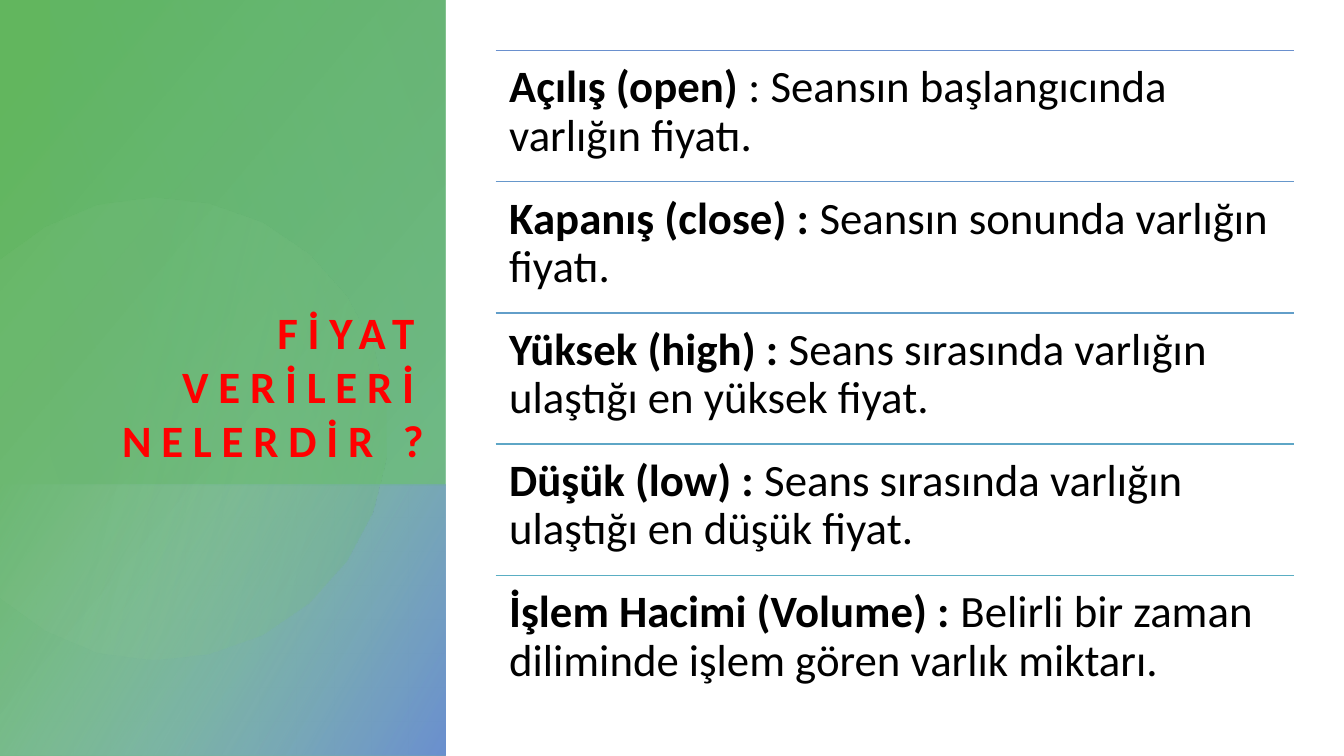
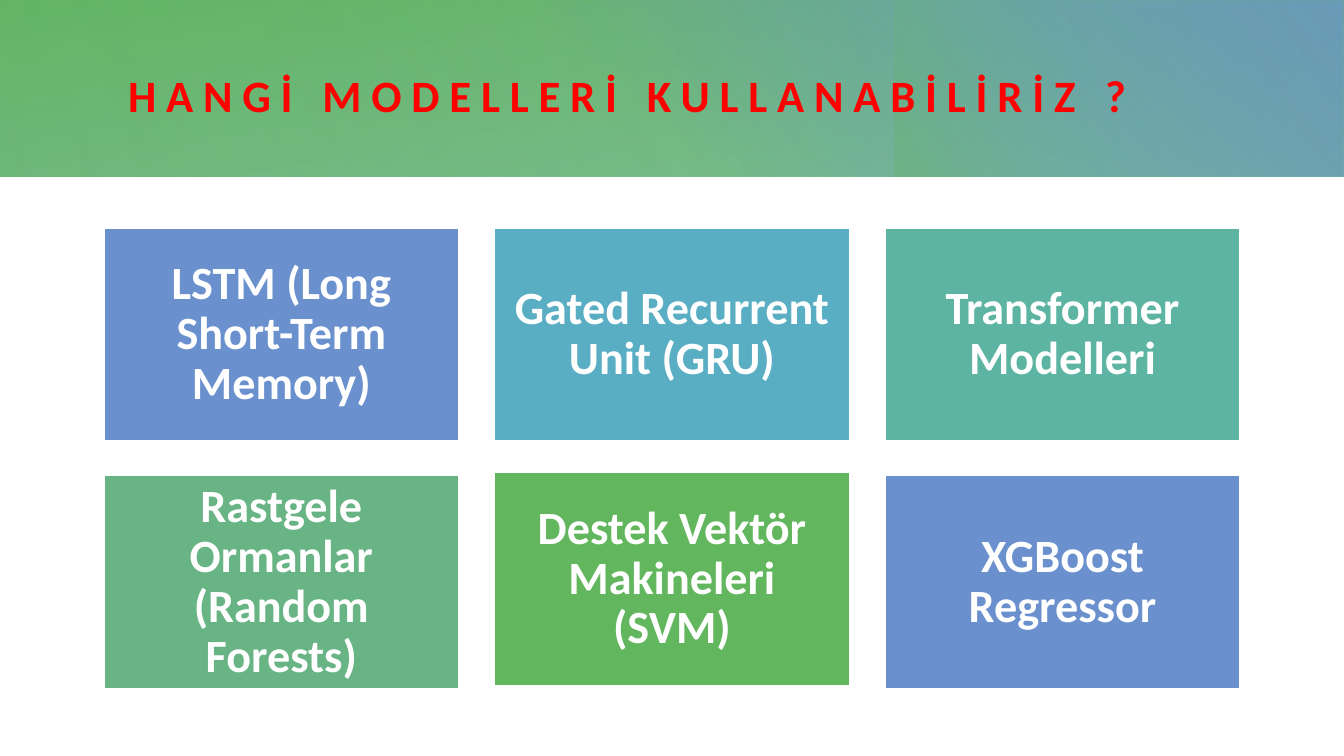
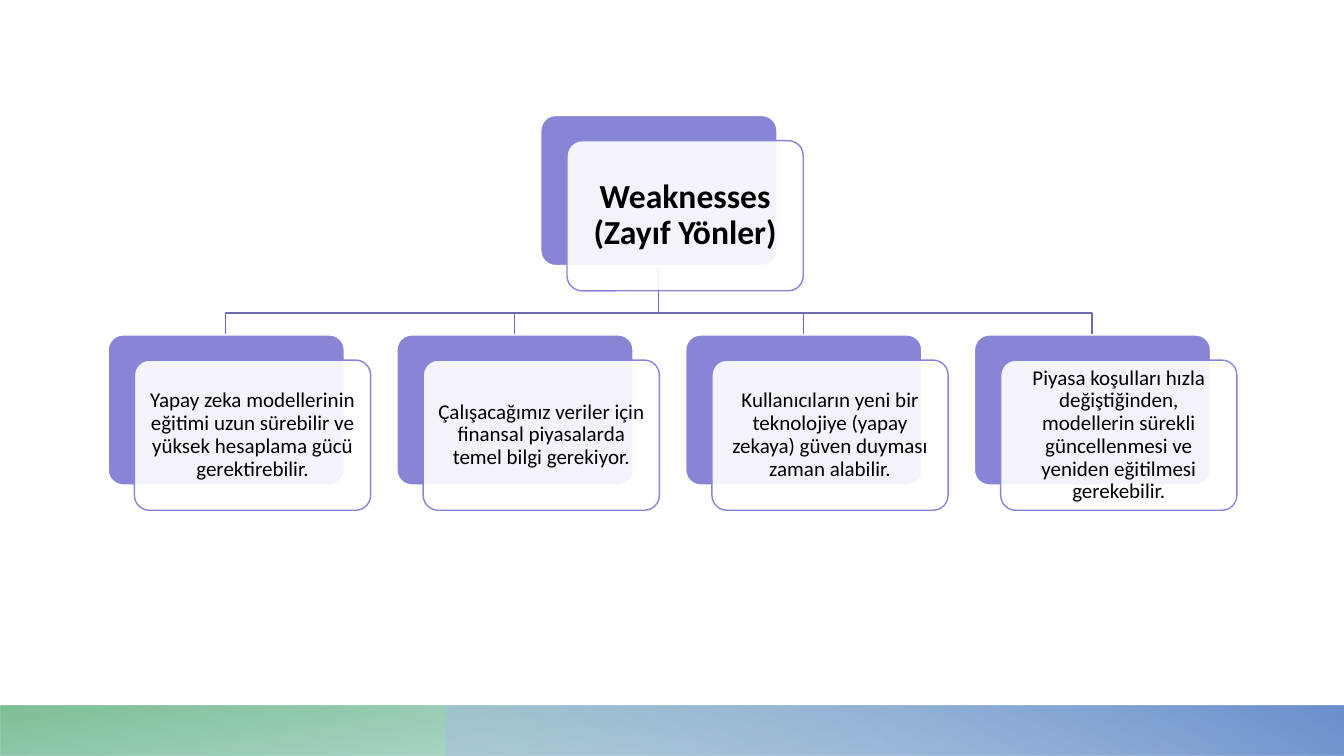
import math
import lxml.etree
import pptx
import pptx.dml.color
import pptx.enum.shapes
import pptx.enum.text
import pptx.oxml.ns
import pptx.util

PX = 9525
Pt = pptx.util.Pt
qn = pptx.oxml.ns.qn
FORM = pptx.enum.shapes.MSO_SHAPE
ALIGN = pptx.enum.text.PP_ALIGN
ANCHOR = pptx.enum.text.MSO_ANCHOR

RED, BLACK, WHITE = "FF0000", "000000", "FFFFFF"
BLUE, CYAN, TEAL = "6A90CE", "5AAEC3", "5DB4A2"
SAGE, GREEN = "68B484", "62B65E"
LILAC, PLUM = "8885D7", "6D6BAC"


def hue(code):
    return pptx.dml.color.RGBColor.from_string(code)


def write(shape, runs, size, tint, inset, align, anchor, gap):
    frame = shape.text_frame
    look = {
        "word_wrap": True,
        "auto_size": pptx.enum.text.MSO_AUTO_SIZE.NONE,
        "vertical_anchor": anchor,
    }
    for side in ("left", "top", "right", "bottom"):
        look["margin_" + side] = inset * PX
    for key, value in look.items():
        setattr(frame, key, value)
    para = frame.paragraphs[0]
    para.alignment = align
    para.line_spacing = gap
    for text, bold in runs:
        run = para.add_run()
        run.text = text
        for key, value in {"name": "Calibri", "size": Pt(size), "bold": bold}.items():
            setattr(run.font, key, value)
        run.font.color.rgb = hue(tint)


deck = pptx.Presentation()
deck.slide_width = 1280 * PX
deck.slide_height = 720 * PX
price, model, weak = [deck.slides.add_slide(deck.slide_layouts[i]) for i in (5, 5, 6)]

for slide in (price, model):
    sheet = slide.shapes.add_shape(FORM.RECTANGLE, 0, 0, 1280 * PX, 720 * PX)
    sheet.shadow.inherit = False
    sheet.fill.solid()
    sheet.fill.fore_color.rgb = hue(WHITE)
    sheet.line.fill.background()

ring = []
for turn in range(-133, 134, 14):
    angle = math.radians(turn)
    ring.append((max(0, round(150 + 220 * math.cos(angle))), round(408 + 220 * math.sin(angle))))

washes = [
    (price, (-148, 148, 720, 424), 270, True, 50, [(8, GREEN, 100), (100, SAGE, 89)]),
    (price, (83, 379, 258, 424), 270, True, 60, [(0, "A4D2B5", 0), (99, BLUE, 100)]),
    (price, None, 0, False, 14, [(36, "A1D39E", 6), (100, GREEN, 26)]),
    (price, (5, 43, 462, 376), 90, True, 110, [(0, SAGE, 29), (100, TEAL, 0)]),
    (model, (0, 0, 1280, 168), 0, False, 260, [(0, SAGE, 83), (100, GREEN, 100)]),
    (model, (462, 1, 818, 167), 0, False, 310, [(22, BLUE, 0), (99, BLUE, 100)]),
    (model, (947, -95, 168, 358), 270, False, 250, [(45, TEAL, 0), (99, GREEN, 33)]),
    (model, (258, 0, 1022, 168), 180, False, 330, [(0, SAGE, 30), (99, SAGE, 0)]),
    (model, (0, 0, 830, 168), 0, False, 340, [(0, SAGE, 21), (99, SAGE, 0)]),
    (weak, (0, 672, 1280, 48), 180, True, 100, [(14, TEAL, 28), (100, SAGE, 85)]),
    (weak, (424, 672, 856, 48), 0, True, 240, [(9, "A6BCE2", 55), (99, BLUE, 100)]),
]
bands = []
for slide, box, turn, flip, angle, stops in washes:
    if box:
        wash = slide.shapes.add_shape(FORM.RECTANGLE, *[n * PX for n in box])
    else:
        pen = slide.shapes.build_freeform(*ring[0], scale=PX)
        pen.add_line_segments(ring[1:], close=True)
        wash = pen.convert_to_shape()
    wash.rotation = turn
    if flip:
        wash.element.spPr.xfrm.set("flipH", "1")
    wash.shadow.inherit = False
    wash.line.fill.background()
    wash.fill.gradient()
    wash.fill.gradient_angle = 360 - angle
    for stop, (place, tint, alpha) in zip(wash.fill.gradient_stops, stops):
        stop.position = place / 100
        stop.color.rgb = hue(tint)
    for node, (place, tint, alpha) in zip(wash.element.iter(qn("a:srgbClr")), stops):
        lxml.etree.SubElement(node, qn("a:alpha")).set("val", str(alpha * 1000))
    if slide is weak:
        bands.append(wash)

for i, band in enumerate(bands):
    band.element.nvSpPr.cNvPr.set("id", str(100 + i))
    deck.slide_master.shapes.element.insert(2 + i, band.element)

titles = [
    (price, "FİYAT VERİLERİ NELERDİR ?", (48, 91, 356, 353), ALIGN.RIGHT, ANCHOR.BOTTOM),
    (model, "HANGİ MODELLERİ KULLANABİLİRİZ ?", (122, 39, 1090, 102), ALIGN.LEFT, ANCHOR.MIDDLE),
]
for slide, text, box, align, anchor in titles:
    title = slide.shapes.title
    slide.shapes.element.append(title.element)
    for key, value in zip(("left", "top", "width", "height"), box):
        setattr(title, key, value * PX)
    write(title, [(text, True)], 32, RED, 0, align, anchor, 1.0)
    title.text_frame.paragraphs[0].runs[0].font._element.set("spc", "700")

terms = [
    (BLUE, "Açılış (open)", " : Seansın başlangıcında varlığın fiyatı."),
    ("6697CB", "Kapanış (close) : ", "Seansın sonunda varlığın fiyatı."),
    ("629EC9", "Yüksek (high) : ", "Seans sırasında varlığın ulaştığı en yüksek fiyat."),
    ("5EA6C6", "Düşük (low) : ", "Seans sırasında varlığın ulaştığı en düşük fiyat."),
    (CYAN, "İşlem Hacimi (Volume) : ", "Belirli bir zaman diliminde işlem gören varlık miktarı."),
]
for row, (tint, term, text) in enumerate(terms):
    left, top, width, height = [n * PX for n in (472, 48 + 125 * row, 760, 125)]
    rule = price.shapes.add_connector(
        pptx.enum.shapes.MSO_CONNECTOR.STRAIGHT, left, top, left + width, top)
    rule.line.color.rgb = hue(tint)
    rule.line.width = Pt(1)
    lxml.etree.SubElement(rule.element.spPr, qn("a:effectLst"))
    note = price.shapes.add_textbox(left, top, width, height)
    write(note, [(term, True), (text, False)], 32, BLACK, 13, ALIGN.LEFT, ANCHOR.TOP, 0.9)

cards = [
    ("LSTM (Long Short-Term Memory)", BLUE, 217),
    ("Gated Recurrent Unit (GRU)", CYAN, 217),
    ("Transformer Modelleri", TEAL, 217),
    ("Rastgele Ormanlar (Random Forests)", SAGE, 453),
    ("Destek Vektör Makineleri (SVM)", GREEN, 450),
    ("XGBoost Regressor", BLUE, 453),
]
for i, (text, tint, top) in enumerate(cards):
    box = (99 + 372 * (i % 3), top, 338, 203)
    card = model.shapes.add_shape(FORM.RECTANGLE, *[n * PX for n in box])
    card.shadow.inherit = False
    card.fill.solid()
    card.fill.fore_color.rgb = hue(tint)
    card.line.color.rgb = hue(WHITE)
    card.line.width = Pt(1)
    write(card, [(text, True)], 33, WHITE, 13, ALIGN.CENTER, ANCHOR.MIDDLE, 0.9)

wide, high = 225, 143
points = [
    "Yapay zeka modellerinin eğitimi uzun sürebilir ve yüksek hesaplama gücü gerektirebilir.",
    "Çalışacağımız veriler için finansal piyasalarda temel bilgi gerekiyor.",
    "Kullanıcıların yeni bir teknolojiye (yapay zekaya) güven duyması zaman alabilir.",
    "Piyasa koşulları hızla değiştiğinden, modellerin sürekli güncellenmesi ve yeniden "
    "eğitilmesi gerekebilir.",
]
root = (515, 110, "Weaknesses (Zayıf Yönler)", 24, True, 10)
leaves = [(103 + 275 * i, 319, text, 15, False, 6) for i, text in enumerate(points)]

stem = root[0] + wide // 2
for leaf in leaves:
    end = leaf[0] + wide // 2
    pen = weak.shapes.build_freeform(stem, root[1] + high, scale=PX)
    pen.add_line_segments([(stem, 298), (end, 298), (end, leaf[1])], close=False)
    link = pen.convert_to_shape()
    link.shadow.inherit = False
    link.fill.background()
    link.line.color.rgb = hue(PLUM)
    link.line.width = Pt(1)

for left, top, text, size, bold, inset in [root] + leaves:
    for shift, drop, tint, edge in ((0, 0, LILAC, WHITE), (25, 24, WHITE, LILAC)):
        box = (left + shift, top + drop, wide, high)
        node = weak.shapes.add_shape(FORM.ROUNDED_RECTANGLE, *[n * PX for n in box])
        node.adjustments[0] = 0.1
        node.shadow.inherit = False
        node.fill.solid()
        node.fill.fore_color.rgb = hue(tint)
        node.line.color.rgb = hue(edge)
        node.line.width = Pt(1)
    shade = node.element.spPr.find(qn("a:solidFill")).find(qn("a:srgbClr"))
    lxml.etree.SubElement(shade, qn("a:alpha")).set("val", "90000")
    write(node, [(text, bold)], size, BLACK, inset, ALIGN.CENTER, ANCHOR.MIDDLE, 0.9)

deck.save("out.pptx")
